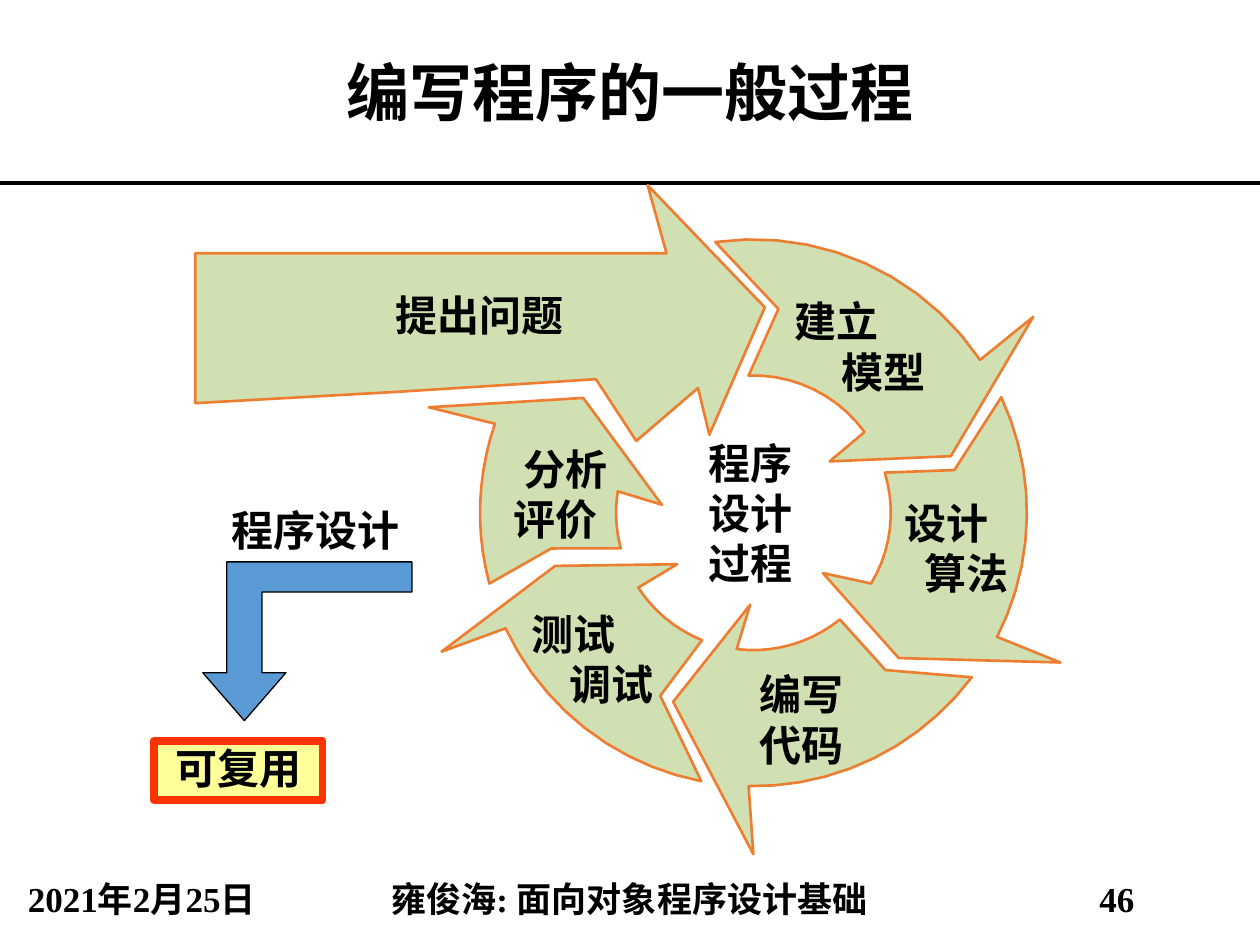
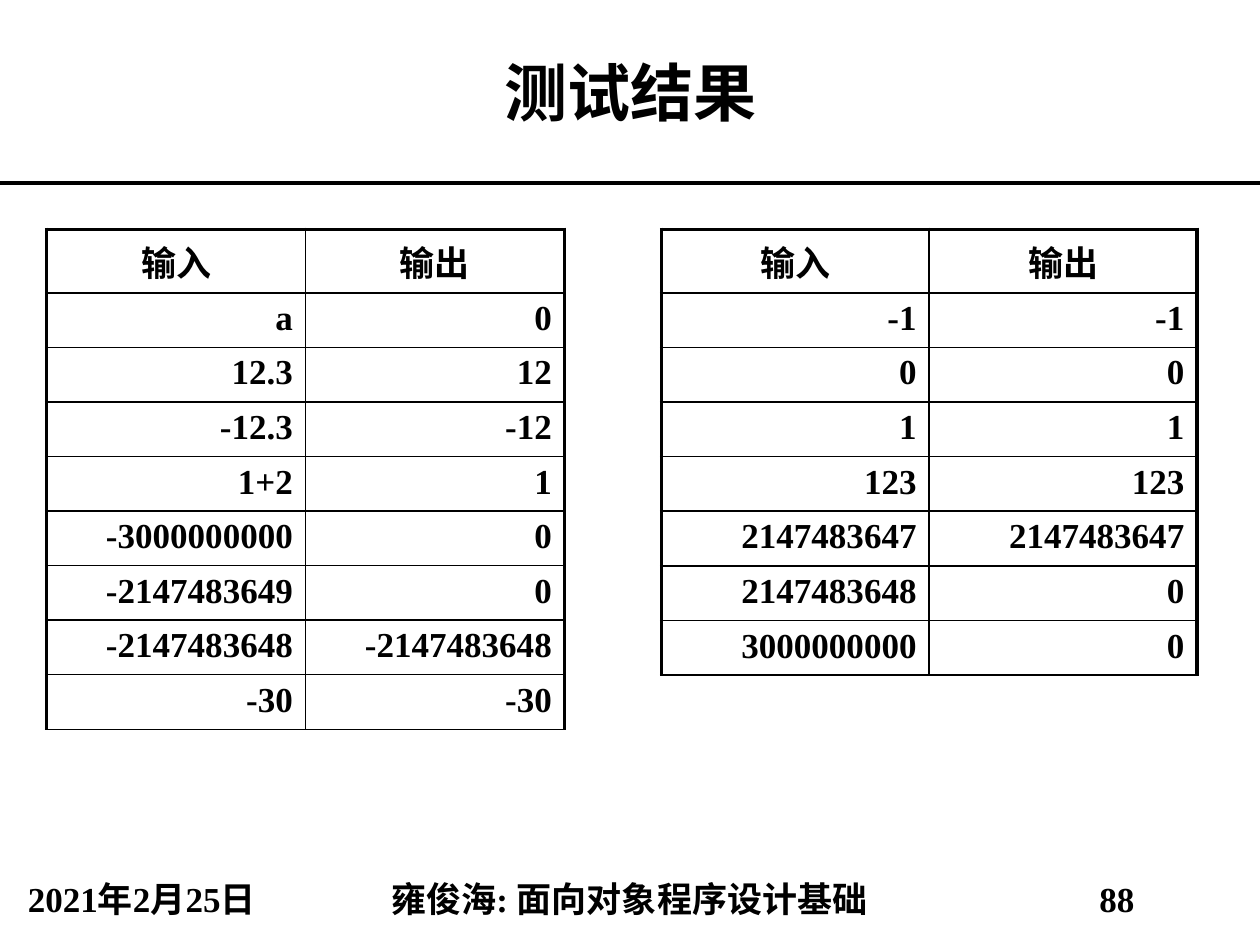
from dataclasses import dataclass
from math import cos, radians, sin
from typing import Optional

from lxml import etree
from pptx import Presentation
from pptx.dml.color import RGBColor
from pptx.enum.shapes import MSO_CONNECTOR, MSO_SHAPE
from pptx.enum.text import MSO_ANCHOR, MSO_AUTO_SIZE, PP_ALIGN
from pptx.oxml.ns import qn
from pptx.util import Emu, Pt

PX = 9144
PAGE_WIDTH, PAGE_HEIGHT, TITLE_HEIGHT = 1000, 750, 145
FONT = "Times New Roman"
TITLE_SIZE, LABEL_SIZE, SMALL_SIZE = 36, 24, 20
THICK, THIN = 2.25, 1
TITLE_ONLY = 5
STRAIGHT = MSO_CONNECTOR.STRAIGHT
RECTANGLE = MSO_SHAPE.RECTANGLE
LEFT, CENTER, RIGHT = PP_ALIGN.LEFT, PP_ALIGN.CENTER, PP_ALIGN.RIGHT
TOP, MIDDLE = MSO_ANCHOR.TOP, MSO_ANCHOR.MIDDLE
NO_AUTOFIT = MSO_AUTO_SIZE.NONE
COLOURS = {
    "ink": "000000",
    "cycle_fill": "D1E0B2",
    "cycle_line": "ED7D31",
    "bent_arrow": "5B9BD5",
    "reuse_fill": "FFFF99",
    "reuse_line": "FF3300",
}

CENTER_X, CENTER_Y = 598, 407
INNER, MIDWAY, OUTER = 109, 163, 217
INNER_BARB, OUTER_BARB = 73, 271
ARC_STEPS = 10


@dataclass(frozen=True)
class Box:
    left: int
    top: int
    width: int
    height: int

    def emu(self) -> tuple:
        return tuple(Emu(side * PX) for side in (self.left, self.top, self.width, self.height))


@dataclass(frozen=True)
class Label:
    box: Box
    lines: tuple
    align: int = LEFT
    anchor: int = TOP
    size: int = LABEL_SIZE
    spacing: Optional[float] = None
    indents: tuple = ()
    tight: bool = False


@dataclass(frozen=True)
class Blade:
    tail: int
    notch: int
    inner_start: int
    inner_end: int
    inner_barb: int
    tip: int
    outer_barb: int
    outer_end: int

    def points(self) -> list:
        return [
            polar(MIDWAY, self.notch),
            *arc(INNER, self.inner_start, self.inner_end),
            polar(INNER_BARB, self.inner_barb),
            polar(MIDWAY, self.tip),
            polar(OUTER_BARB, self.outer_barb),
            *arc(OUTER, self.outer_end, self.tail),
        ]


@dataclass(frozen=True)
class ResultTable:
    box: Box
    rows: tuple


HEADINGS = ("输入", "输出")
TABLES = (
    ResultTable(Box(37, 182, 411, 390), (
        HEADINGS, ("a", "0"), ("12.3", "12"), ("-12.3", "-12"), ("1+2", "1"),
        ("-3000000000", "0"), ("-2147483649", "0"),
        ("-2147483648", "-2147483648"), ("-30", "-30"),
    )),
    ResultTable(Box(525, 182, 425, 347), (
        HEADINGS, ("-1", "-1"), ("0", "0"), ("1", "1"), ("123", "123"),
        ("2147483647", "2147483647"), ("2147483648", "0"), ("3000000000", "0"),
    )),
)

BLADES = (
    Blade(-98, -83, -92, -36, -34, -16, -35, -34),
    Blade(-25, -12, -17, 31, 41, 45, 26, 27),
    Blade(37, 50, 51, 97, 92, 113, 90, 91),
    Blade(101, 117, 112, 147, 146, 165, 156, 155),
    Blade(165, 170, 165, 189, 185, 214, 198, 199),
)
ENTRY_ARROW = [
    (155, 201), (529, 201), (514, 147), (607, 244), (563, 345),
    (554, 308), (505, 350), (473, 301), (316, 311), (155, 320),
]


def cycle_label(left: int, top: int, lines: tuple, width: int = 137,
                align: int = LEFT, indents: tuple = ()) -> Label:
    return Label(Box(left, top, width, 10 + 40 * len(lines)), lines, align, indents=indents)


def caption(box: Box, text: str) -> Label:
    return Label(box, (text,), CENTER, MIDDLE, spacing=0.95, tight=True)


REUSE = caption(Box(122, 588, 134, 47), "可复用")
LABELS = (
    cycle_label(276, 225, ("提出问题",), 209, CENTER),
    cycle_label(621, 230, ("建立", "模型"), indents=(0, 37)),
    cycle_label(708, 390, ("设计", "算法"), indents=(0, 16)),
    cycle_label(593, 526, ("编写", "代码")),
    cycle_label(412, 478, ("测试", "调试"), indents=(0, 30)),
    cycle_label(398, 347, ("分析", "评价"), indents=(8, 0)),
    cycle_label(491, 342, ("程序", "设计", "过程"), 209, CENTER),
    caption(Box(168, 399, 165, 47), "程序设计"),
)


def polar(radius: int, angle: float) -> tuple:
    turn = radians(angle)
    return CENTER_X + radius * cos(turn), CENTER_Y + radius * sin(turn)


def arc(radius: int, start: int, end: int) -> list:
    return [polar(radius, start + (end - start) * step / ARC_STEPS)
            for step in range(ARC_STEPS + 1)]


def bent_arrow_points() -> list:
    middle, right, top, bottom = 194, 327, 446, 572
    shaft, head, neck, elbow = 14, 33, 534, 470
    return [
        (middle, bottom), (middle + head, neck), (middle + shaft, neck),
        (middle + shaft, elbow), (right, elbow), (right, top),
        (middle - shaft, top), (middle - shaft, neck), (middle - head, neck),
    ]


def colour(name: str) -> RGBColor:
    return RGBColor.from_string(COLOURS[name])


def add_span(para, text: str, size: int) -> None:
    span = para.add_run()
    span.text = text
    span.font.name = FONT
    span.font.size = Pt(size)
    span.font.bold = True
    span.font.color.rgb = colour("ink")


def paint(shape, fill: str, line: str, weight: float) -> None:
    shape.shadow.inherit = False
    shape.fill.solid()
    shape.fill.fore_color.rgb = colour(fill)
    shape.line.color.rgb = colour(line)
    shape.line.width = Pt(weight)


def write_label(frame, label: Label) -> None:
    frame.word_wrap = True
    frame.auto_size = NO_AUTOFIT
    frame.vertical_anchor = label.anchor
    if label.tight:
        frame.margin_left = frame.margin_right = Emu(4 * PX)
        frame.margin_top = frame.margin_bottom = 0
    for index, line in enumerate(label.lines):
        para = frame.paragraphs[0] if index == 0 else frame.add_paragraph()
        para.alignment = label.align
        if label.spacing:
            para.line_spacing = label.spacing
        if label.indents:
            para._p.get_or_add_pPr().set("marL", str(label.indents[index] * PX))
        add_span(para, line, label.size)


def add_label(page, label: Label) -> None:
    write_label(page.shapes.add_textbox(*label.box.emu()).text_frame, label)


def add_outline(page, points: list, fill: str = "cycle_fill",
                line: str = "cycle_line", weight: float = 1.5) -> None:
    scaled = [(round(x * PX), round(y * PX)) for x, y in points]
    builder = page.shapes.build_freeform(*scaled[0])
    builder.add_line_segments(scaled[1:], close=True)
    paint(builder.convert_to_shape(), fill, line, weight)


def set_borders(cell, widths: dict) -> None:
    properties = cell._tc.get_or_add_tcPr()
    for side, weight in widths.items():
        border = etree.SubElement(properties, qn(f"a:ln{side}"), w=str(Pt(weight)))
        fill = etree.SubElement(border, qn("a:solidFill"))
        etree.SubElement(fill, qn("a:srgbClr"), val=COLOURS["ink"])


def add_results(page, results: ResultTable) -> None:
    columns = len(HEADINGS)
    table = page.shapes.add_table(len(results.rows), columns, *results.box.emu()).table
    table.first_row = table.horz_banding = False
    for row, values in enumerate(results.rows):
        for column, value in enumerate(values):
            cell = table.cell(row, column)
            set_borders(cell, {
                "L": THICK if column == 0 else THIN,
                "R": THICK if column == columns - 1 else THIN,
                "T": THICK if row == 0 else THIN,
                "B": THIN,
            })
            cell.fill.background()
            para = cell.text_frame.paragraphs[0]
            para.alignment = CENTER if row == 0 else RIGHT
            add_span(para, value, SMALL_SIZE)


def add_page(deck, title: str, number: str):
    page = deck.slides.add_slide(deck.slide_layouts[TITLE_ONLY])
    heading = page.shapes.title
    box = Box(0, 0, PAGE_WIDTH, TITLE_HEIGHT)
    heading.left, heading.top, heading.width, heading.height = box.emu()
    write_label(heading.text_frame, Label(box, (title,), CENTER, MIDDLE, TITLE_SIZE))
    rule = page.shapes.add_connector(
        STRAIGHT, 0, TITLE_HEIGHT * PX, PAGE_WIDTH * PX, TITLE_HEIGHT * PX)
    rule.line.color.rgb = colour("ink")
    rule.line.width = Pt(THICK)
    etree.SubElement(rule._element.spPr, qn("a:effectLst"))
    left = 0
    footers = ((225, "2021年2月25日"), (549, "雍俊海: 面向对象程序设计基础"), (225, number))
    for width, text in footers:
        add_label(page, Label(Box(left, 695, width, 40), (text,), CENTER, MIDDLE, SMALL_SIZE, 0.9))
        left += width
    return page


def build_process(deck) -> None:
    page = add_page(deck, "编写程序的一般过程", "46")
    for blade in BLADES:
        add_outline(page, blade.points())
    add_outline(page, ENTRY_ARROW)
    add_outline(page, bent_arrow_points(), "bent_arrow", "ink", 0.75)
    for label in LABELS:
        add_label(page, label)
    reuse = page.shapes.add_shape(RECTANGLE, *REUSE.box.emu())
    paint(reuse, "reuse_fill", "reuse_line", 4.5)
    write_label(reuse.text_frame, REUSE)


def build_results(deck) -> None:
    page = add_page(deck, "测试结果", "88")
    for results in TABLES:
        add_results(page, results)


def main() -> None:
    deck = Presentation()
    deck.slide_width = Emu(PAGE_WIDTH * PX)
    deck.slide_height = Emu(PAGE_HEIGHT * PX)
    build_process(deck)
    build_results(deck)
    deck.save("out.pptx")


if __name__ == "__main__":
    main()
